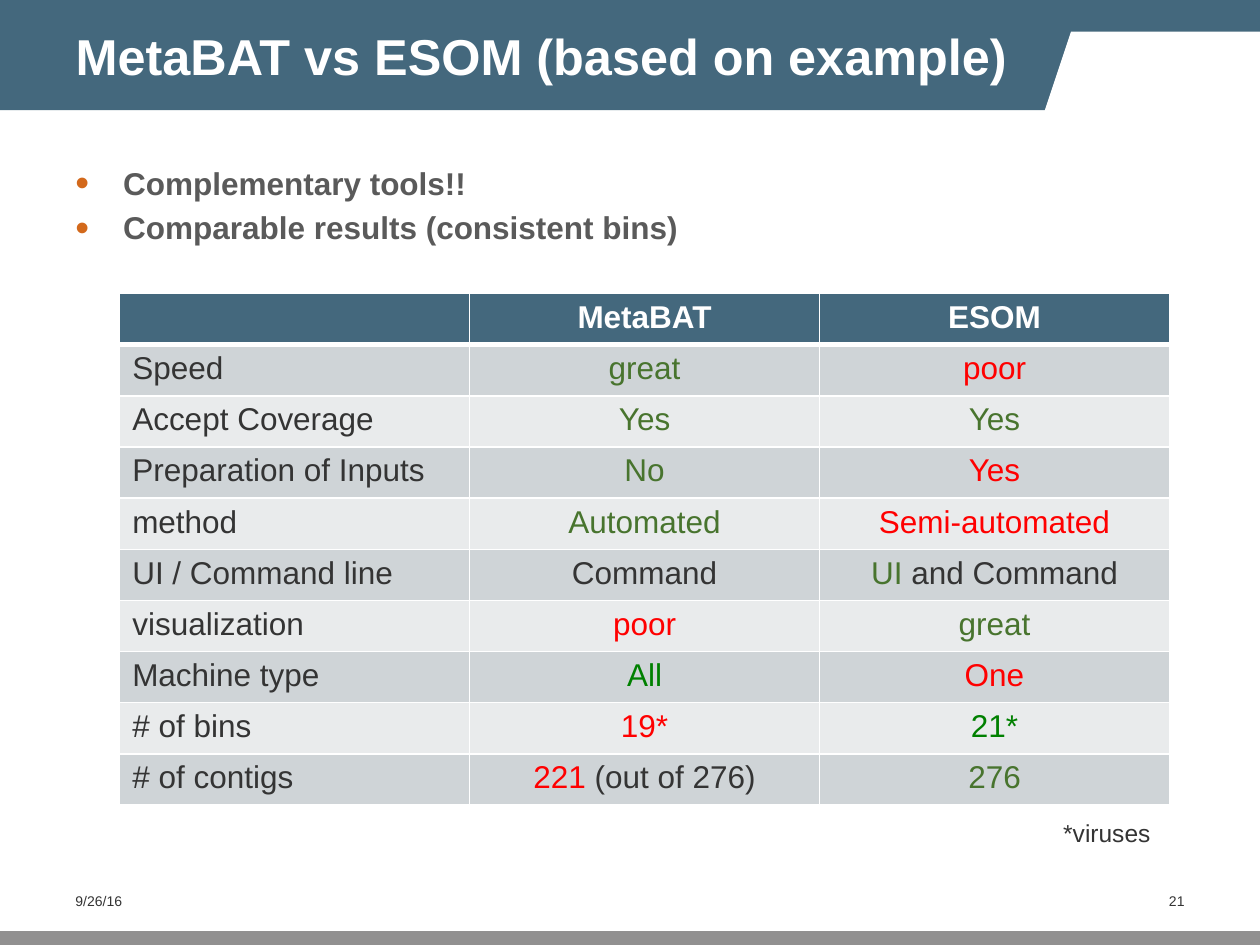
"""Build the slide that compares MetaBAT with ESOM."""
from typing import NamedTuple

from lxml.etree import SubElement, fromstring
from pptx import Presentation
from pptx.dml.color import RGBColor as Rgb
from pptx.enum.shapes import MSO_SHAPE as Preset
from pptx.enum.text import MSO_ANCHOR as Anchor, PP_ALIGN as Align
from pptx.oxml.ns import nsdecls, qn
from pptx.util import Inches, Pt

UNIT = Inches(0.25)
COLUMNS, ROWS = 40, 30
FONT = "Arial"
BLUE = Rgb(0x44, 0x68, 0x7D)
GRAY = Rgb(0x91, 0x90, 0x90)
WHITE = Rgb(0xFF, 0xFF, 0xFF)
DARK = Rgb(0x34, 0x34, 0x34)
BODY = Rgb(0x5A, 0x5A, 0x5A)
ORANGE = Rgb(0xD3, 0x69, 0x1B)
LEAF = Rgb(0x48, 0x74, 0x2E)
GREEN = Rgb(0x00, 0x80, 0x00)
RED = Rgb(0xFF, 0x00, 0x00)
STRIPES = Rgb(0xE9, 0xEB, 0xEC), Rgb(0xCF, 0xD4, 0xD7)


class Area(NamedTuple):
    """Place on the slide, in grid columns and rows."""
    left: float
    top: float
    width: float
    height: float

    def emu(self) -> tuple[int, ...]:
        return tuple(round(length * UNIT) for length in self)


class Piece(NamedTuple):
    """Words in one colour."""
    words: str
    color: Rgb = DARK


class Style(NamedTuple):
    """Look of a paragraph."""
    size: float
    bold: bool = False
    align: Align = Align.LEFT


class Label(NamedTuple):
    """Small text standing on its own."""
    area: Area
    words: str
    style: Style
    frame: dict


class Criterion(NamedTuple):
    """One compared property with its two verdicts."""
    name: str
    metabat: tuple[Piece, ...]
    esom: tuple[Piece, ...]


BANDS = (
    (Area(0, 0, COLUMNS, 3.5), BLUE),
    (Area(0, 29.56, COLUMNS, 0.44), GRAY),
)
NOTCH = ((33, 4), (34, 1), (40, 1), (39.96, 4))
TITLE_AREA = Area(2, 0, 31, 3.5)
POINTS_AREA = Area(2, 5, 36, 3.4)
TABLE_AREA = Area(3.8, 9.32, 33.33, 16.24)
POINTS = "Complementary tools!!", "Comparable results (consistent bins)"
HEADINGS = "", "MetaBAT", "ESOM"
CRITERIA = (
    Criterion("Speed", (Piece("great", LEAF),), (Piece("poor", RED),)),
    Criterion("Accept Coverage", (Piece("Yes", LEAF),), (Piece("Yes", LEAF),)),
    Criterion("Preparation of Inputs", (Piece("No", LEAF),), (Piece("Yes", RED),)),
    Criterion("method", (Piece("Automated", LEAF),), (Piece("Semi-automated", RED),)),
    Criterion("UI / Command line", (Piece("Command"),),
              (Piece("UI", LEAF), Piece(" and Command"))),
    Criterion("visualization", (Piece("poor", RED),), (Piece("great", LEAF),)),
    Criterion("Machine type", (Piece("All", GREEN),), (Piece("One", RED),)),
    Criterion("# of bins", (Piece("19*", RED),), (Piece("21*", GREEN),)),
    Criterion("# of contigs", (Piece("221", RED), Piece(" (out of 276)")),
              (Piece("276", LEAF),)),
)
CENTERED = {"vertical_anchor": Anchor.MIDDLE, "word_wrap": True}
LABELS = (
    Label(Area(2, 27.8, 4.24, 1.6), "9/26/16", Style(8), CENTERED),
    Label(Area(35.44, 27.8, 2.56, 1.6), "21", Style(8, align=Align.RIGHT), CENTERED),
    Label(Area(33.36, 25.76, 3.6, 1.36), "*viruses", Style(14), {"word_wrap": False}),
)


def apply(target, values: dict) -> None:
    for name, value in values.items():
        setattr(target, name, value)


def write(paragraph, pieces: tuple[Piece, ...], style: Style) -> None:
    paragraph.alignment = style.align
    for piece in pieces:
        run = paragraph.add_run()
        run.text = piece.words
        apply(run.font, {"name": FONT, "size": Pt(style.size), "bold": style.bold})
        run.font.color.rgb = piece.color


def paint(shape, color: Rgb) -> None:
    shape.shadow.inherit = False
    shape.fill.solid()
    shape.fill.fore_color.rgb = color
    shape.line.fill.background()


def draw_backdrop(shapes) -> None:
    for area, color in BANDS:
        paint(shapes.add_shape(Preset.RECTANGLE, *area.emu()), color)
    outline = shapes.build_freeform(*NOTCH[0], scale=UNIT)
    outline.add_line_segments(NOTCH[1:])
    paint(outline.convert_to_shape(), WHITE)


def draw_title(title) -> None:
    title.element.getparent().append(title.element)
    apply(title, dict(zip(("left", "top", "width", "height"), TITLE_AREA.emu())))
    apply(title.text_frame, CENTERED)
    write(title.text_frame.paragraphs[0],
          (Piece("MetaBAT vs ESOM (based on example)", WHITE),), Style(28.8, True))


def add_bullet(paragraph) -> None:
    properties = paragraph._p.get_or_add_pPr()
    apply_indent = {"marL": Inches(0.38), "indent": -Inches(0.38)}
    for name, length in apply_indent.items():
        properties.set(name, str(length))
    tint = SubElement(properties, qn("a:buClr"))
    SubElement(tint, qn("a:srgbClr"), val=str(ORANGE))
    SubElement(properties, qn("a:buSzPct"), val="125000")
    SubElement(properties, qn("a:buFont"), typeface=FONT)
    SubElement(properties, qn("a:buChar"), char="•")


def draw_points(shapes) -> None:
    frame = shapes.add_textbox(*POINTS_AREA.emu()).text_frame
    frame.word_wrap = True
    for index, point in enumerate(POINTS):
        paragraph = frame.add_paragraph() if index else frame.paragraphs[0]
        add_bullet(paragraph)
        if index:
            paragraph.space_before = Pt(4)
        write(paragraph, (Piece(point, BODY),), Style(18, True))


def finish_cell(cell, fill: Rgb, widths: dict[str, int]) -> None:
    cell.fill.solid()
    cell.fill.fore_color.rgb = fill
    for index, (side, width) in enumerate(widths.items()):
        cell._tc.get_or_add_tcPr().insert(index, fromstring(
            f'<a:ln{side} {nsdecls("a")} w="{Pt(width)}"><a:solidFill>'
            f'<a:srgbClr val="{WHITE}"/></a:solidFill></a:ln{side}>'))


def draw_comparison(shapes) -> None:
    heading = tuple((Piece(words, WHITE),) if words else () for words in HEADINGS)
    rows = [heading] + [((Piece(item.name),), item.metabat, item.esom) for item in CRITERIA]
    table = shapes.add_table(len(rows), len(HEADINGS), *TABLE_AREA.emu()).table
    for r, row in enumerate(rows):
        fill = STRIPES[r % 2] if r else BLUE
        widths = {"L": 1, "R": 1, "T": 3 if r == 1 else 1, "B": 1 if r else 3}
        for c, pieces in enumerate(row):
            cell = table.cell(r, c)
            finish_cell(cell, fill, widths)
            style = Style(18, r == 0, Align.CENTER if c else Align.LEFT)
            write(cell.text_frame.paragraphs[0], pieces, style)


def draw_label(shapes, label: Label) -> None:
    frame = shapes.add_textbox(*label.area.emu()).text_frame
    apply(frame, label.frame)
    write(frame.paragraphs[0], (Piece(label.words),), label.style)


def main() -> None:
    deck = Presentation()
    apply(deck, {"slide_width": COLUMNS * UNIT, "slide_height": ROWS * UNIT})
    shapes = deck.slides.add_slide(deck.slide_layouts[5]).shapes
    draw_backdrop(shapes)
    draw_title(shapes.title)
    draw_points(shapes)
    draw_comparison(shapes)
    for label in LABELS:
        draw_label(shapes, label)
    deck.save("out.pptx")


if __name__ == "__main__":
    main()
